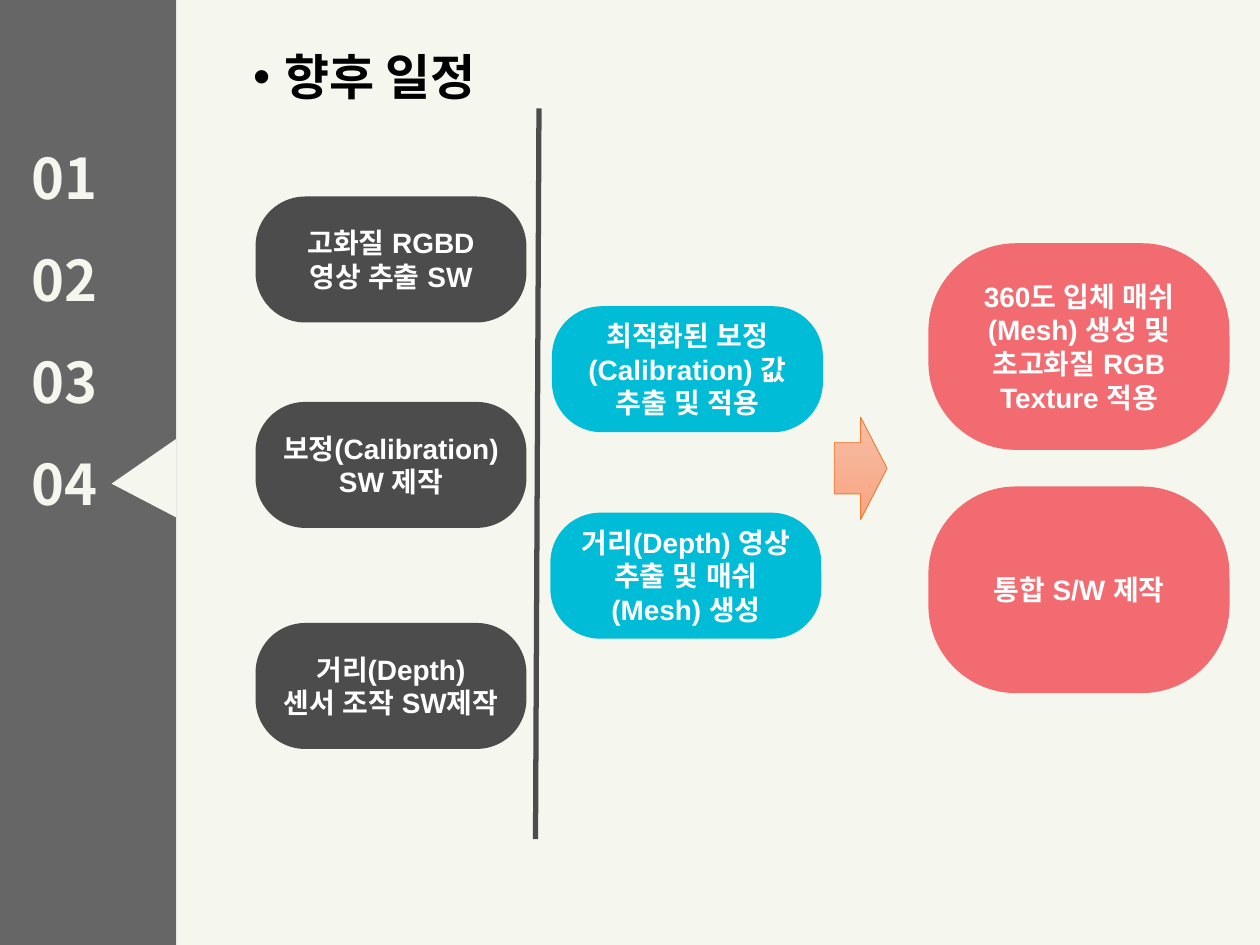
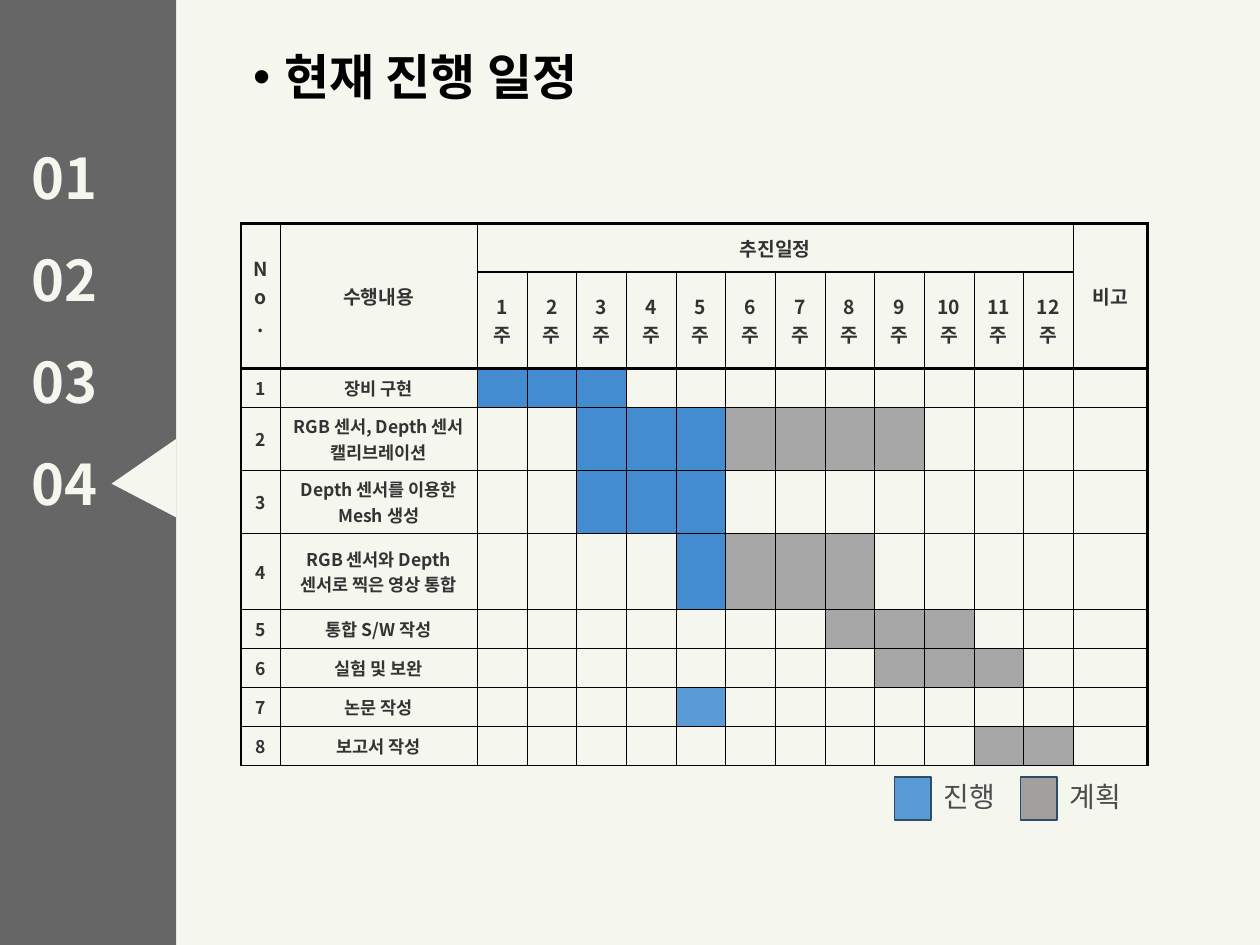
from lxml.etree import SubElement
from pptx import Presentation
from pptx.dml.color import RGBColor
from pptx.enum.shapes import MSO_CONNECTOR, MSO_SHAPE as SHAPE
from pptx.enum.text import MSO_ANCHOR as ANCHOR, MSO_AUTO_SIZE as AUTO_SIZE, PP_ALIGN as ALIGN
from pptx.oxml.ns import qn
from pptx.util import Pt

COLORS = {
    "sidebar": "666666", "paper": "F5F6EE", "black": "000000", "white": "FFFFFF",
    "dark": "4C4C4C", "cyan": "00BCD7", "coral": "F26B70",
    "arrow_top": "F7BDA5", "arrow_bottom": "F8A582", "arrow_line": "ED7D31",
    "cell_text": "333333", "done": "438CCF", "done_light": "5B9BD5",
    "planned": "A6A6A6", "legend_planned": "A39F9F", "legend_line": "2D4D6A",
}
RGB = {name: RGBColor.from_string(value) for name, value in COLORS.items()}
KOREAN_FONT = "Noto Sans CJK KR"
NUMBER_FORMAT = {"size": Pt(32), "name": KOREAN_FONT, "bold": True, "color": "paper"}
HEADING_FORMAT = {"size": Pt(28), "name": KOREAN_FONT, "bold": True, "color": "black"}
STEP_FORMAT = {"size": Pt(16), "name": "Arial", "bold": True, "color": "white"}
LEGEND_FORMAT = {"size": Pt(16), "name": KOREAN_FONT, "bold": False, "color": "dark"}
HEADER_FORMAT = {"size": Pt(11), "name": KOREAN_FONT, "bold": True, "color": "cell_text"}
TASK_FORMAT = {**HEADER_FORMAT, "size": Pt(10)}


def write_text(frame, text, text_format, align=None):
    """Fill a text frame, one paragraph a line, with Latin and Korean in one font."""
    frame.text = text
    for paragraph in frame.paragraphs:
        paragraph.alignment = align
        for run in paragraph.runs:
            for name, value in text_format.items():
                if name == "color":
                    run.font.color.rgb = RGB[value]
                else:
                    setattr(run.font, name, value)
            SubElement(run.font._element, qn("a:ea"), typeface=text_format["name"])


def add_box(slide, kind, place, fill, line=None, line_width=1):
    shape = slide.shapes.add_shape(kind, *map(Pt, place))
    shape.shadow.inherit = False
    shape.fill.solid()
    shape.fill.fore_color.rgb = RGB[fill]
    if line:
        shape.line.color.rgb = RGB[line]
        shape.line.width = Pt(line_width)
    else:
        shape.line.fill.background()
    return shape


presentation = Presentation()
presentation.slide_width, presentation.slide_height = Pt(720), Pt(540)

# Layout: only the body placeholder stays
layout = presentation.slide_layouts[1]
for placeholder in list(layout.placeholders):
    if placeholder.placeholder_format.idx == 1:
        placeholder.element.nvSpPr.cNvPr.set("id", "2")
    else:
        placeholder.element.getparent().remove(placeholder.element)

# Headings
slides = []
for heading, width in [("향후 일정", 492.5), ("현재 진행 일정", 394.5)]:
    slide = presentation.slides.add_slide(layout)
    body = slide.placeholders[1]
    body.left, body.top, body.width, body.height = Pt(137.5), Pt(26.6), Pt(width), Pt(50.4)
    write_text(body.text_frame, heading, HEADING_FORMAT)
    body.text_frame.auto_size = AUTO_SIZE.NONE
    paragraph = body.text_frame.paragraphs[0]
    properties = paragraph._p.get_or_add_pPr()
    properties.set("marL", str(Pt(18)))
    properties.set("indent", str(-Pt(18)))
    SubElement(properties, qn("a:buChar"), char="•")
    paragraph.line_spacing = 0.9
    paragraph.space_before = Pt(0)
    slides.append(slide)
plan_slide, schedule_slide = slides

# Sidebar, paper and section marker, moved to the layout
sidebar = add_box(plan_slide, SHAPE.RECTANGLE, (0, 0, 100.8, 540), "sidebar")
paper = add_box(plan_slide, SHAPE.RECTANGLE, (100.8, 0, 619.2, 540), "paper")
marker = add_box(plan_slide, SHAPE.ISOSCELES_TRIANGLE, (59.8, 254.9, 44.6, 36.7), "paper")
marker.adjustments[0] = 0.43
marker.rotation = 270
shared_shapes = [sidebar, paper, marker]
for index in range(4):
    number = plan_slide.shapes.add_textbox(Pt(10.8), Pt(78.5 + 58.3 * index), Pt(64), Pt(45.6))
    number.text_frame.word_wrap = True
    number.text_frame.auto_size = AUTO_SIZE.SHAPE_TO_FIT_TEXT
    write_text(number.text_frame, f"{index + 1:02}", NUMBER_FORMAT)
    shared_shapes.append(number)
for shape in shared_shapes:
    layout.shapes.element.append(shape.element)

# Slide 1: work steps
SMALL, LARGE = (154.8, 72, 0.395), (172.1, 118.1, 0.424)
steps = [
    ("고화질 RGBD 영상 추출 SW", 146, 112.3, SMALL, "dark"),
    ("보정(Calibration) SW 제작", 146, 229.7, SMALL, "dark"),
    ("거리(Depth)\n센서 조작 SW제작", 146, 356, SMALL, "dark"),
    ("거리(Depth) 영상 추출 및 매쉬(Mesh) 생성", 314.5, 293, SMALL, "cyan"),
    ("최적화된 보정(Calibration) 값 추출 및 적용", 315.4, 175, SMALL, "cyan"),
    ("360도 입체 매쉬(Mesh) 생성 및 초고화질 RGB Texture 적용", 530.5, 139, LARGE, "coral"),
    ("통합 S/W 제작", 530.5, 278, LARGE, "coral"),
]
for text, left, top, (width, height, rounding), color in steps:
    step = add_box(plan_slide, SHAPE.ROUNDED_RECTANGLE, (left, top, width, height), color)
    step.adjustments[0] = rounding
    step.text_frame.vertical_anchor = ANCHOR.MIDDLE
    write_text(step.text_frame, text, STEP_FORMAT, ALIGN.CENTER)

arrow = add_box(plan_slide, SHAPE.RIGHT_ARROW, (476.7, 238.4, 30.2, 58.5),
                "arrow_top", "arrow_line", 0.5)
arrow.fill.gradient()
arrow.fill.gradient_angle = 270
for stop, color in zip(arrow.fill.gradient_stops, ("arrow_top", "arrow_bottom")):
    stop.color.rgb = RGB[color]

divider = plan_slide.shapes.add_connector(
    MSO_CONNECTOR.STRAIGHT, Pt(308), Pt(62), Pt(306), Pt(479.5))
divider.line.color.rgb = RGB["dark"]
divider.line.width = Pt(3)
SubElement(divider.element.spPr, qn("a:effectLst"))

# Slide 2: schedule, each task with its coloured (first week, last week, colour) spans
WEEKS = 12
tasks = [
    ("장비 구현", [(1, 3, "done")]),
    ("RGB 센서, Depth 센서 캘리브레이션", [(3, 5, "done"), (6, 9, "planned")]),
    ("Depth 센서를 이용한 Mesh 생성", [(3, 5, "done")]),
    ("RGB 센서와 Depth 센서로 찍은 영상 통합", [(5, 5, "done"), (6, 8, "planned")]),
    ("통합 S/W 작성", [(8, 10, "planned")]),
    ("실험 및 보완", [(9, 11, "planned")]),
    ("논문 작성", [(5, 5, "done_light")]),
    ("보고서 작성", [(11, 12, "planned")]),
]
column_widths = [22.4, 112.6] + [28.4] * WEEKS + [42.6]
row_heights = [27.6, 33.2, 22.3, 31, 31, 43.4] + [22.3] * 4
last_column = len(column_widths) - 1
table = schedule_slide.shapes.add_table(
    len(row_heights), len(column_widths), Pt(137.7), Pt(127.8),
    Pt(sum(column_widths)), Pt(sum(row_heights))).table
table.first_row = table.horz_banding = False
NO_STYLE = "{2D5ABB26-0587-4C30-8999-92F81FD0307C}"
table._tbl.tblPr.find(qn("a:tableStyleId")).text = NO_STYLE
for column, width in zip(table.columns, column_widths):
    column.width = Pt(width)
for row, height in zip(table.rows, row_heights):
    row.height = Pt(height)
for column in (0, 1, last_column):
    table.cell(0, column).merge(table.cell(1, column))
table.cell(0, 2).merge(table.cell(0, last_column - 1))

cell_texts = {(0, 0): "No.", (0, 1): "수행내용", (0, 2): "추진일정", (0, last_column): "비고"}
cell_fills = {}
for week in range(1, WEEKS + 1):
    cell_texts[1, week + 1] = f"{week}주"
for row, (task, spans) in enumerate(tasks, start=2):
    cell_texts[row, 0] = str(row - 1)
    cell_texts[row, 1] = task
    for first, last, color in spans:
        for week in range(first, last + 1):
            cell_fills[row, week + 1] = color

for row in range(len(row_heights)):
    for column in range(len(column_widths)):
        cell = table.cell(row, column)
        if (row, column) in cell_texts:
            text_format = HEADER_FORMAT if row < 2 else TASK_FORMAT
            write_text(cell.text_frame, cell_texts[row, column], text_format, ALIGN.CENTER)
        else:
            SubElement(cell.text_frame.paragraphs[0]._p, qn("a:endParaRPr"), sz="1000")
        if cell.is_spanned:
            continue
        cell.vertical_anchor = ANCHOR.MIDDLE
        thick_sides = {"L": column == 0, "R": column == last_column, "T": row <= 2, "B": row < 2}
        for side, thick in thick_sides.items():
            border = SubElement(cell._tc.get_or_add_tcPr(), qn(f"a:ln{side}"),
                                w=str(Pt(1.68 if thick else 0.33)))
            border_fill = SubElement(border, qn("a:solidFill"))
            SubElement(border_fill, qn("a:srgbClr"), val=COLORS["black"])
        if (row, column) in cell_fills:
            cell.fill.solid()
            cell.fill.fore_color.rgb = RGB[cell_fills[row, column]]
        else:
            cell.fill.background()

# Legend
for left, label, color in [(511.2, "진행", "done_light"), (583.2, "계획", "legend_planned")]:
    add_box(schedule_slide, SHAPE.RECTANGLE, (left, 444.2, 20.9, 24.5), color, "legend_line")
    caption = schedule_slide.shapes.add_textbox(Pt(left + 20.9), Pt(442), Pt(51.8), Pt(26.6))
    caption.text_frame.word_wrap = True
    caption.text_frame.auto_size = AUTO_SIZE.SHAPE_TO_FIT_TEXT
    write_text(caption.text_frame, label, LEGEND_FORMAT)

presentation.save("out.pptx")
